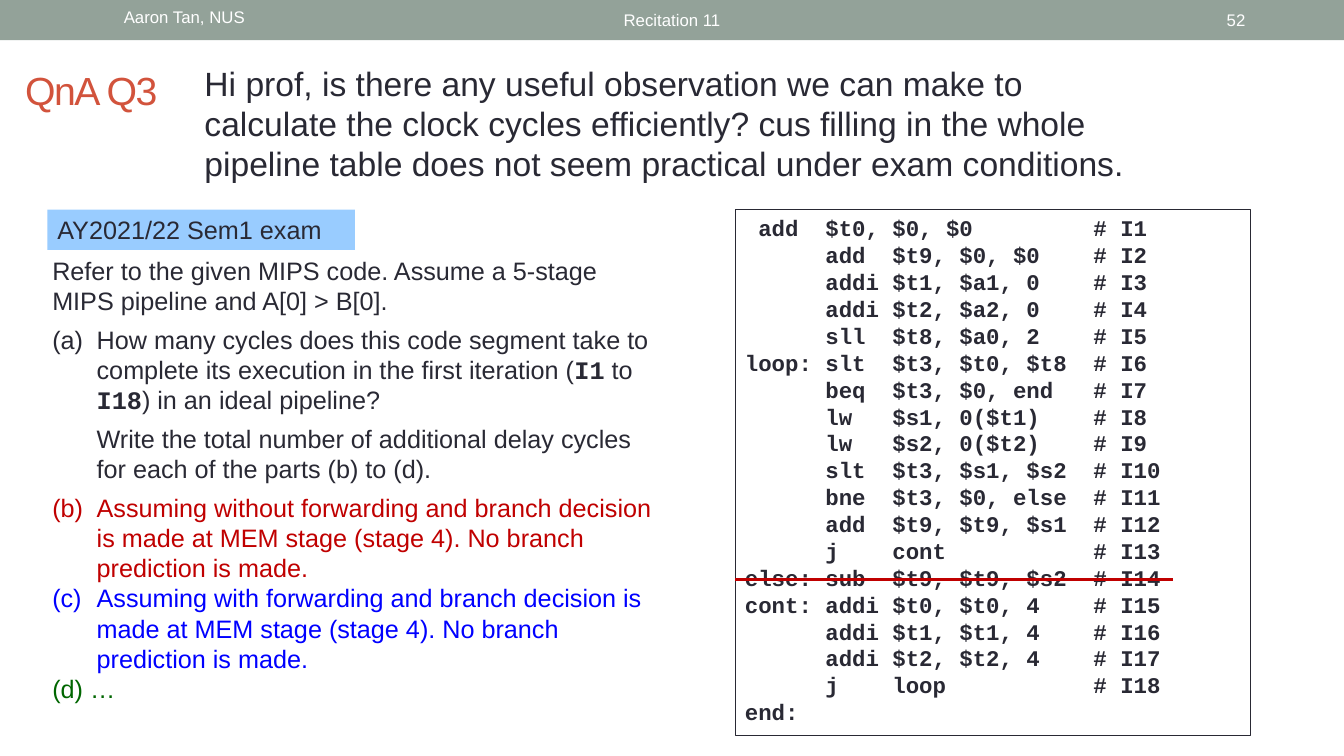
from pptx import Presentation
from pptx.dml.color import RGBColor
from pptx.enum.shapes import MSO_CONNECTOR, MSO_SHAPE
from pptx.enum.text import MSO_ANCHOR as ANCHOR, PP_ALIGN as ALIGN
from pptx.oxml.ns import qn
from pptx.util import Inches, Pt
from lxml import etree

COLORS = {
    "band": "93A299", "title": "D2533C", "ink": "292934", "tag": "99CCFF",
    "red": "C00000", "blue": "0000FF", "green": "006600", "white": "FFFFFF",
}
SANS, MONO = "Arial", "Courier New"
HANG = 0.44

CODE = """\
 add  $t0, $0, $0         # I1
      add  $t9, $0, $0    # I2
      addi $t1, $a1, 0    # I3
      addi $t2, $a2, 0    # I4
      sll  $t8, $a0, 2    # I5
loop: slt  $t3, $t0, $t8  # I6
      beq  $t3, $0, end   # I7
      lw   $s1, 0($t1)    # I8
      lw   $s2, 0($t2)    # I9
      slt  $t3, $s1, $s2  # I10
      bne  $t3, $0, else  # I11
      add  $t9, $t9, $s1  # I12
      j    cont           # I13
else: sub  $t9, $t9, $s2  # I14
cont: addi $t0, $t0, 4    # I15
      addi $t1, $t1, 4    # I16
      addi $t2, $t2, 4    # I17
      j    loop           # I18
end:"""


def rgb(name):
    return RGBColor.from_string(COLORS[name])


def add_box(slide, place, fill=None, line=None):
    box = slide.shapes.add_shape(MSO_SHAPE.RECTANGLE, *map(Inches, place))
    box.shadow.inherit = False
    if fill:
        box.fill.solid()
        box.fill.fore_color.rgb = rgb(fill)
    else:
        box.fill.background()
    if line:
        box.line.color.rgb = rgb(line)
        box.line.width = Pt(0.75)
    else:
        box.line.fill.background()
    return box


def add_area(slide, place):
    return slide.shapes.add_textbox(*map(Inches, place))


def add_text(shape, text, size=18, color="ink", font=SANS, bold=False,
             align=ALIGN.LEFT, anchor=ANCHOR.TOP, after=0, left=0, first=0,
             track=0):
    """Append one paragraph; each odd piece between backticks is bold code."""
    frame = shape.text_frame
    frame.word_wrap = True
    frame.vertical_anchor = anchor
    para = frame.paragraphs[0]
    if para.runs:
        para = frame.add_paragraph()
    para.alignment = align
    para.space_after = Pt(after)
    props = para._p.get_or_add_pPr()
    props.set("marL", str(Inches(left)))
    props.set("indent", str(Inches(first)))
    for i, piece in enumerate(text.split("`")):
        run = para.add_run()
        run.text = piece
        run.font.size = Pt(size)
        run.font.color.rgb = rgb(color)
        run.font.name = MONO if i % 2 else font
        run.font.bold = bold or i % 2 == 1
        if track:
            run._r.get_or_add_rPr().set("spc", str(track * 100))


def add_rule(slide, x1, y1, x2, y2, color, width):
    rule = slide.shapes.add_connector(
        MSO_CONNECTOR.STRAIGHT, *map(Inches, (x1, y1, x2, y2)))
    rule.line.color.rgb = rgb(color)
    rule.line.width = Pt(width)
    etree.SubElement(rule._element.spPr, qn("a:effectLst"))


def add_header(slide):
    add_box(slide, (0, 0, 13.33, 0.4), fill="band")
    for text, left, width, align, anchor in (
            ("Recitation 11", 3.02, 7.29, ALIGN.CENTER, ANCHOR.MIDDLE),
            ("Aaron Tan, NUS", 1.13, 3.17, ALIGN.LEFT, ANCHOR.TOP),
            ("52", 11.5, 0.95, ALIGN.RIGHT, ANCHOR.MIDDLE)):
        add_text(add_area(slide, (left, 0.02, width, 0.36)), text,
                 size=12, color="white", align=align, anchor=anchor)


def add_exam(slide):
    tag = add_box(slide, (0.47, 2.08, 3.05, 0.4), fill="tag")
    add_text(tag, "AY2021/22 Sem1 exam")
    body = add_area(slide, (0.42, 2.48, 6.19, 4.59))
    add_text(body, "Refer to the given MIPS code. Assume a 5-stage MIPS "
             "pipeline and A[0] > B[0].", after=6)
    for text, color, after, first in (
            ("(a) \tHow many cycles does this code segment take to complete "
             "its execution in the first iteration (`I1` to `I18`) in an "
             "ideal pipeline?", "ink", 6, -HANG),
            ("Write the total number of additional delay cycles for each of "
             "the parts (b) to (d).", "ink", 6, 0),
            ("(b) \tAssuming without forwarding and branch decision is made "
             "at MEM stage (stage 4). No branch prediction is made.",
             "red", 0, -HANG),
            ("(c)\tAssuming with forwarding and branch decision is made at "
             "MEM stage (stage 4). No branch prediction is made.",
             "blue", 0, -HANG),
            ("(d) …", "green", 0, -HANG)):
        add_text(body, text, color=color, after=after, left=HANG, first=first)


def add_code(slide):
    panel = add_box(slide, (7.29, 2.08, 5.11, 5.22), line="ink")
    for line in CODE.split("\n"):
        add_text(panel, line, size=16, font=MONO, bold=True)
    add_rule(slide, 7.29, 5.75, 11.63, 5.75, "red", 2.25)


def main():
    deck = Presentation()
    deck.slide_width, deck.slide_height = Inches(13.33), Inches(7.5)
    slide = deck.slides.add_slide(deck.slide_layouts[6])
    add_header(slide)
    add_text(add_area(slide, (0.15, 0.57, 1.79, 0.64)), "QnA Q3", size=28,
             color="title", anchor=ANCHOR.MIDDLE, track=-1)
    add_text(add_area(slide, (1.93, 0.57, 9.34, 1.31)),
             "Hi prof, is there any useful observation we can make to "
             "calculate the clock cycles efficiently? cus filling in the "
             "whole pipeline table does not seem practical under exam "
             "conditions.", size=24)
    add_exam(slide)
    add_code(slide)
    deck.save("out.pptx")


if __name__ == "__main__":
    main()
